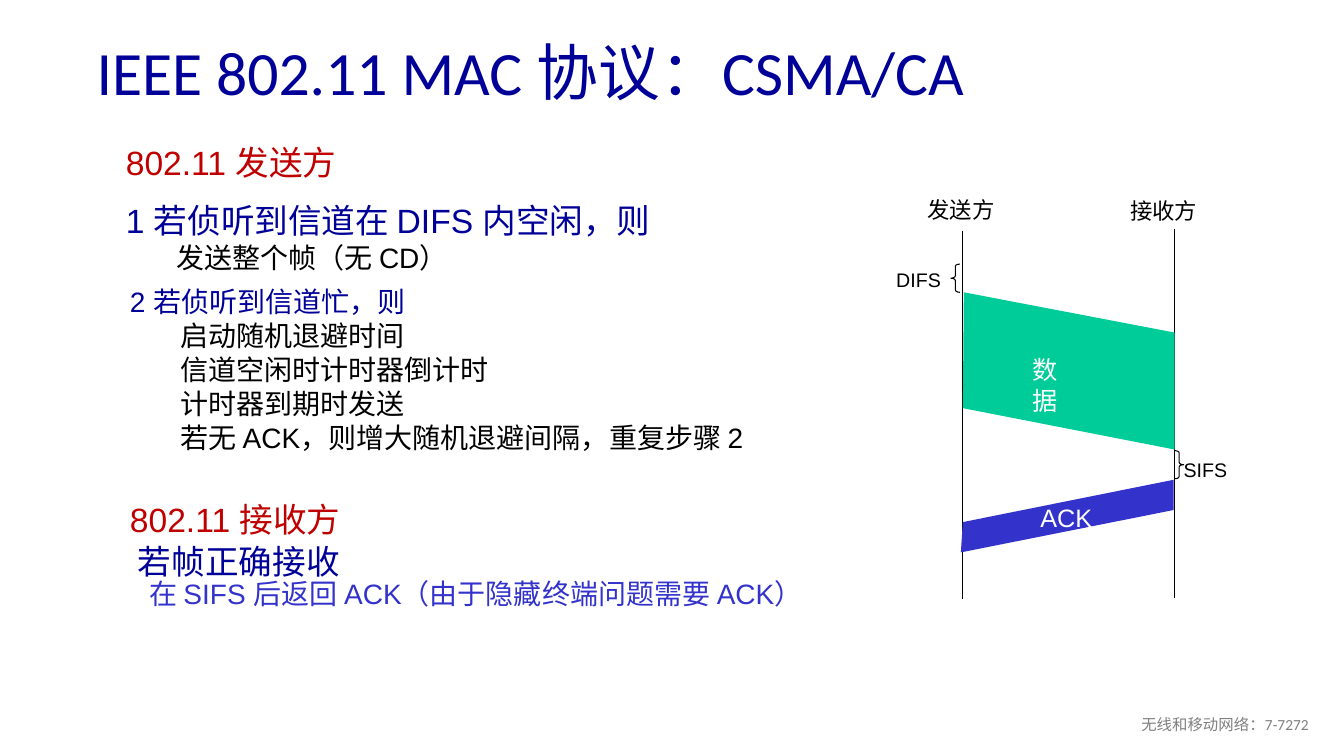
from pptx import Presentation
from pptx.dml.color import RGBColor
from pptx.enum.shapes import MSO_CONNECTOR as Link, MSO_SHAPE as Shape
from pptx.enum.text import MSO_ANCHOR as Anchor, MSO_AUTO_SIZE as Fit, PP_ALIGN as Align
from pptx.oxml.ns import qn
from pptx.util import Inches, Pt
from lxml import etree

NAVY, RED, BLUE = "000099", "C00000", "3333CC"
BLACK, WHITE, GREEN, GRAY = "000000", "FFFFFF", "00CC99", "808080"
SEND, RECV = 9.55, 11.65  # the two time lines


def color(code):
    return RGBColor.from_string(code)


def style(para, size, code, font="Arial"):
    for run in para.runs:
        run.font.size = Pt(size)
        run.font.name = font
        run.font.color.rgb = color(code)


def add_box(slide, left, top, width, height):
    box = slide.shapes.add_textbox(Inches(left), Inches(top), Inches(width), Inches(height))
    box.text_frame.word_wrap = True
    return box.text_frame


def add_label(slide, text, left, top, width, height, size, code=BLACK, wrap=False):
    frame = add_box(slide, left, top, width, height)
    frame.word_wrap = wrap
    frame.auto_size = Fit.SHAPE_TO_FIT_TEXT
    frame.text = text
    style(frame.paragraphs[0], size, code)


def add_list(slide, left, top, height, rows):
    """Rows hold text, size, colour, left margin, first indent, space before and after."""
    frame = add_box(slide, left, top, 7.31, height)
    for i, (text, size, code, margin, first, before, after) in enumerate(rows):
        para = frame.add_paragraph() if i else frame.paragraphs[0]
        para.text = text
        props = para._p.get_or_add_pPr()
        props.set("marL", str(Inches(margin)))
        props.set("indent", str(Inches(first)))
        para.line_spacing = 0.85
        if i:
            para.space_before = Pt(before)
        para.space_after = Pt(after)
        style(para, size, code)


def head(text, size, code, after=0):
    return text, size, code, 0.38, -0.38, size * 0.2, after


def item(text):
    return text, 20, BLACK, 0.81, -0.31, 4, 0


def add_line(slide, x, top, end):
    line = slide.shapes.add_connector(Link.STRAIGHT, Inches(x), Inches(top), Inches(x), Inches(end))
    line.line.color.rgb = color(BLACK)
    line.line.width = Pt(0.75)
    etree.SubElement(line._element.spPr, qn("a:effectLst"))


def add_brace(slide, kind, left, top):
    brace = slide.shapes.add_shape(kind, Inches(left), Inches(top), Inches(0.09), Inches(0.28))
    brace.shadow.inherit = False
    brace.adjustments[0] = 0.25
    brace.fill.background()
    brace.line.color.rgb = color(BLACK)
    brace.line.width = Pt(0.75)


def add_band(slide, points, code):
    spots = [(Inches(x), Inches(y)) for x, y in points]
    maker = slide.shapes.build_freeform(*spots[0])
    maker.add_line_segments(spots[1:], close=True)
    band = maker.convert_to_shape()
    band.shadow.inherit = False
    band.fill.solid()
    band.fill.fore_color.rgb = color(code)
    band.line.fill.background()


def main():
    deck = Presentation()
    deck.slide_width, deck.slide_height = Inches(13.33), Inches(7.5)
    slide = deck.slides.add_slide(deck.slide_layouts[6])

    # Title and footer
    title = add_box(slide, 0.86, 0.26, 11.5, 0.98)
    title.vertical_anchor = Anchor.MIDDLE
    title.text = "IEEE 802.11 MAC 协议：CSMA/CA"
    title.paragraphs[0].line_spacing = 0.9
    style(title.paragraphs[0], 44, NAVY, "Calibri")
    foot = add_box(slide, 10.08, 7.05, 3, 0.4)
    foot.text = "无线和移动网络：7-7272"
    foot.paragraphs[0].alignment = Align.RIGHT
    style(foot.paragraphs[0], 11, GRAY, "Calibri")

    # Sender and receiver rules
    add_list(slide, 1.15, 1.42, 1.41, [
        head("802.11 发送方", 24, RED, 12),
        head("1 若侦听到信道在 DIFS 内空闲，则", 24, NAVY),
        item("发送整个帧（无 CD）"),
    ])
    add_list(slide, 1.19, 2.82, 1.86, [
        head("2 若侦听到信道忙，则", 20, NAVY),
        item("启动随机退避时间"),
        item("信道空闲时计时器倒计时"),
        item("计时器到期时发送"),
        item("若无 ACK，则增大随机退避间隔，重复步骤 2"),
    ])
    add_list(slide, 1.19, 4.96, 1.86, [
        head("802.11 接收方", 24, RED, 6),
        ("若帧正确接收", 24, NAVY, 0.08, 0, 0, 0),
        ("在 SIFS 后返回 ACK（由于隐藏终端问题需要 ACK）", 20, BLUE, 0.19, 0, 0, 0),
    ])

    # Time lines
    add_line(slide, SEND, 2.29, 5.94)
    add_line(slide, RECV, 2.27, 5.93)
    add_label(slide, "发送方", 9.1, 1.9, 0.91, 0.37, 16)
    add_label(slide, "接收方", 11.11, 1.91, 1, 0.37, 16)

    # Data frame after DIFS
    add_brace(slide, Shape.LEFT_BRACE, 9.43, 2.62)
    add_label(slide, "DIFS", 8.79, 2.61, 0.65, 0.34, 14)
    add_band(slide, [(9.56, 2.9), (RECV, 3.3), (RECV, 4.46), (SEND, 4.05)], GREEN)
    add_label(slide, "数据", 10.14, 3.47, 0.6, 0.7, 18, WHITE, True)

    # Reply after SIFS
    add_label(slide, "SIFS", 11.64, 4.49, 0.64, 0.34, 14)
    add_brace(slide, Shape.RIGHT_BRACE, RECV, 4.47)
    add_band(slide, [(9.53, 5.48), (11.64, 5.06), (11.64, 4.76), (SEND, 5.18)], BLUE)
    add_label(slide, "ACK", 10.22, 4.93, 0.72, 0.4, 18, WHITE)

    deck.save("out.pptx")


if __name__ == "__main__":
    main()
